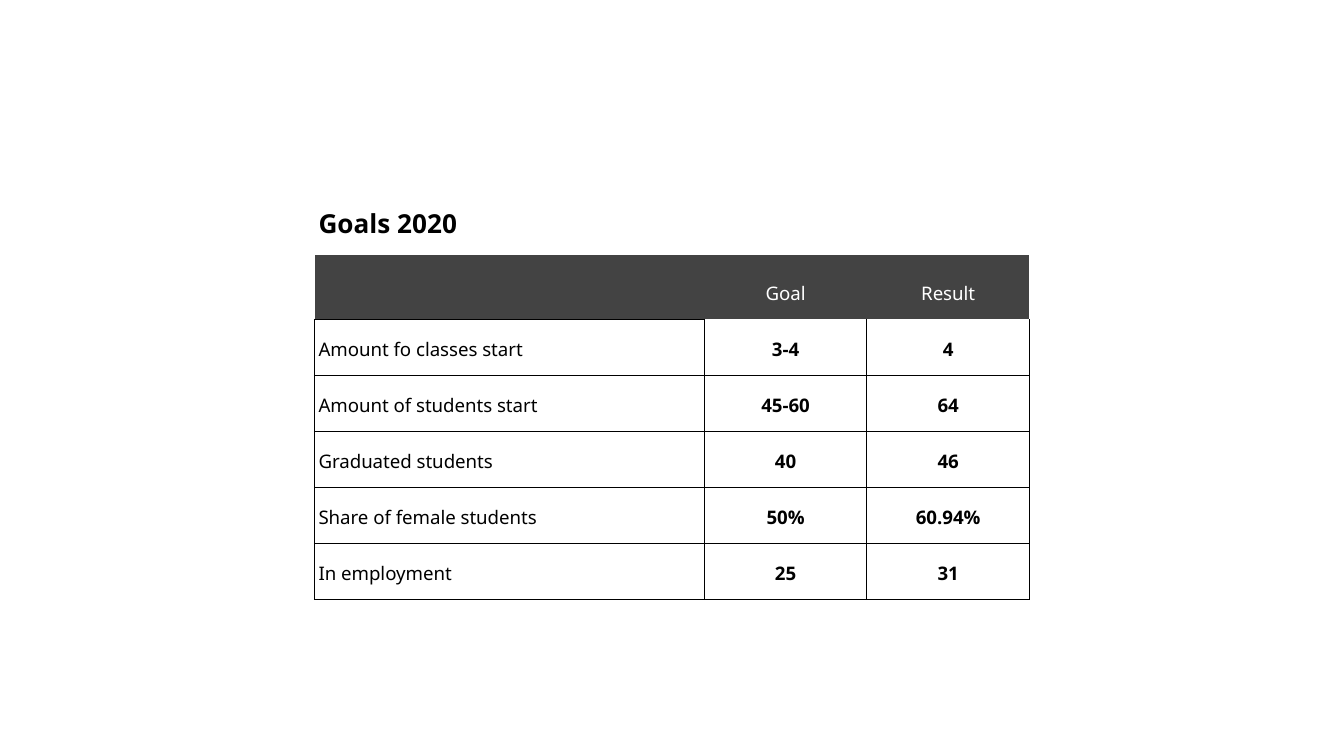
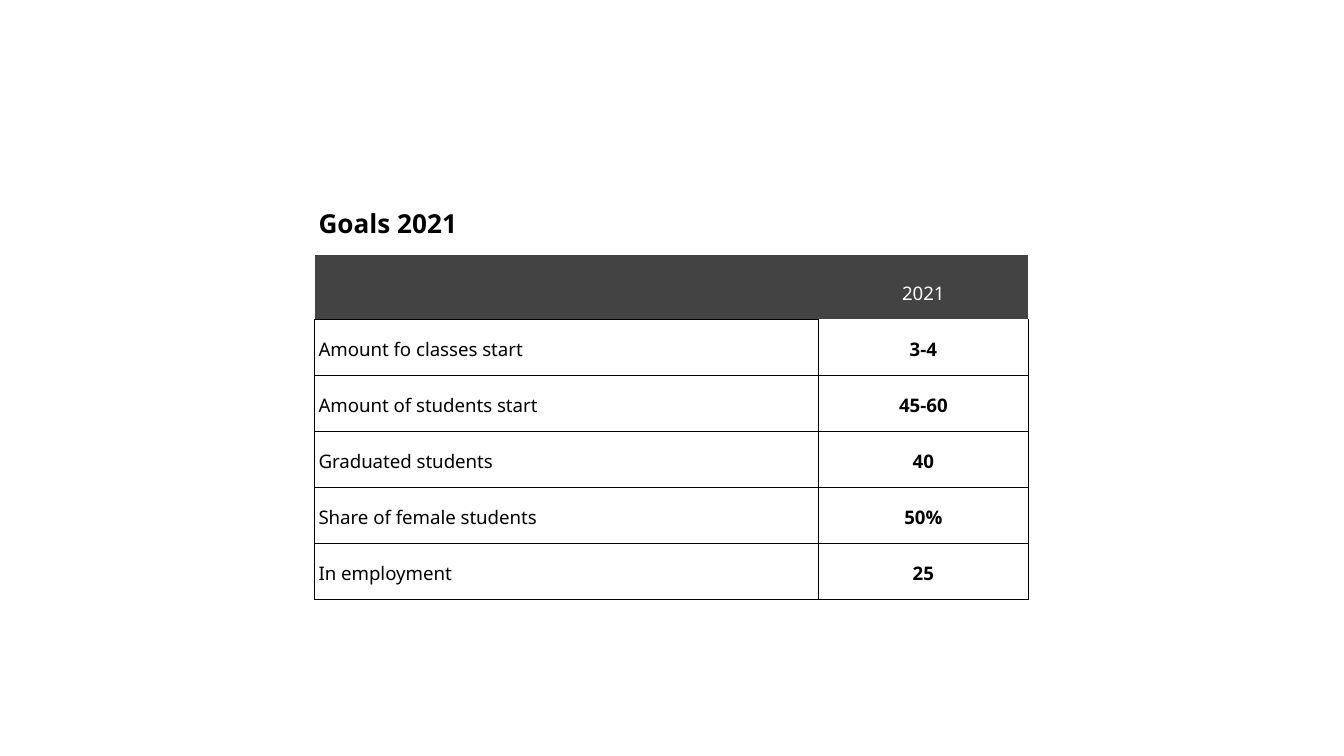
from lxml.etree import SubElement
from pptx import Presentation
from pptx.dml.color import RGBColor
from pptx.enum.text import MSO_ANCHOR as Anchor, PP_ALIGN as Align
from pptx.oxml.ns import qn
from pptx.util import Inches, Pt

SLIDE_WIDTH = 10
SLIDE_HEIGHT = SLIDE_WIDTH * 9 / 16
FONT = "Noto Sans"
BLACK, WHITE, HEADER_GREY = "000000", "FFFFFF", "434343"
PLAIN_TABLE_STYLE = "{2D5ABB26-0587-4C30-8999-92F81FD0307C}"
LEFT, TOP = 2.34, 1.39
TITLE_HEIGHT, HEADER_HEIGHT, BODY_HEIGHT = 0.5, 0.48, 0.41

GOALS = [
    ("Amount fo classes start", "3-4"),
    ("Amount of students start", "45-60"),
    ("Graduated students", "40"),
    ("Share of female students", "50%"),
    ("In employment", "25"),
]
RESULTS = ["4", "64", "46", "60.94%", "31"]

# title, column widths, table rows with the header first
TABLES = [
    ("Goals 2020", [2.9, 1.21, 1.21],
     [("", "Goal", "Result")] + [(*goal, result) for goal, result in zip(GOALS, RESULTS)]),
    ("Goals 2021", [3.75, 1.56], [("", "2021")] + GOALS),
]


def add_borders(cell, sides):
    """Draw thin black lines on the named sides, given in the order L, R, T, B."""
    properties = cell._tc.get_or_add_tcPr()
    for side in sides:
        line = SubElement(properties, qn(f"a:ln{side}"), w=str(Pt(0.75)))
        fill = SubElement(line, qn("a:solidFill"))
        SubElement(fill, qn("a:srgbClr"), val=BLACK)


def write_cell(cell, text, size, color, bold, align, anchor):
    cell.margin_left = cell.margin_right = Inches(0.03)
    cell.margin_top = cell.margin_bottom = Inches(0.1)
    cell.vertical_anchor = anchor
    paragraph = cell.text_frame.paragraphs[0]
    paragraph.text = text
    paragraph.alignment = align
    paragraph.line_spacing = 1.15
    font = paragraph.runs[0].font
    font.name, font.size, font.bold = FONT, Pt(size), bold
    font.color.rgb = RGBColor.from_string(color)


presentation = Presentation()
presentation.slide_width = Inches(SLIDE_WIDTH)
presentation.slide_height = Inches(SLIDE_HEIGHT)

for title, widths, rows in TABLES:
    slide = presentation.slides.add_slide(presentation.slide_layouts[6])
    heights = [TITLE_HEIGHT, HEADER_HEIGHT] + [BODY_HEIGHT] * len(GOALS)
    table = slide.shapes.add_table(
        len(heights), len(widths), Inches(LEFT), Inches(TOP),
        Inches(sum(widths)), Inches(sum(heights))).table
    table.first_row = table.horz_banding = False
    table._tbl.tblPr.find(qn("a:tableStyleId")).text = PLAIN_TABLE_STYLE
    for column, width in zip(table.columns, widths):
        column.width = Inches(width)
    for row, height in zip(table.rows, heights):
        row.height = Inches(height)

    write_cell(table.cell(0, 0), title, 14, BLACK, True, Align.LEFT, Anchor.MIDDLE)
    for column_index in range(len(widths)):
        table.cell(0, column_index).fill.background()

    for row_index, values in enumerate(rows, start=1):
        is_header = row_index == 1
        for column_index, value in enumerate(values):
            cell = table.cell(row_index, column_index)
            is_label = column_index == 0
            if is_header:
                add_borders(cell, "B" if is_label else "")
                cell.fill.solid()
                cell.fill.fore_color.rgb = RGBColor.from_string(HEADER_GREY)
            else:
                # values directly under the header have no top line
                add_borders(cell, "LRB" if row_index == 2 and not is_label else "LRTB")
                cell.fill.background()
            if value:
                write_cell(cell, value, 10, WHITE if is_header else BLACK,
                           not (is_header or is_label),
                           Align.LEFT if is_label else Align.CENTER, Anchor.BOTTOM)

presentation.save("out.pptx")
